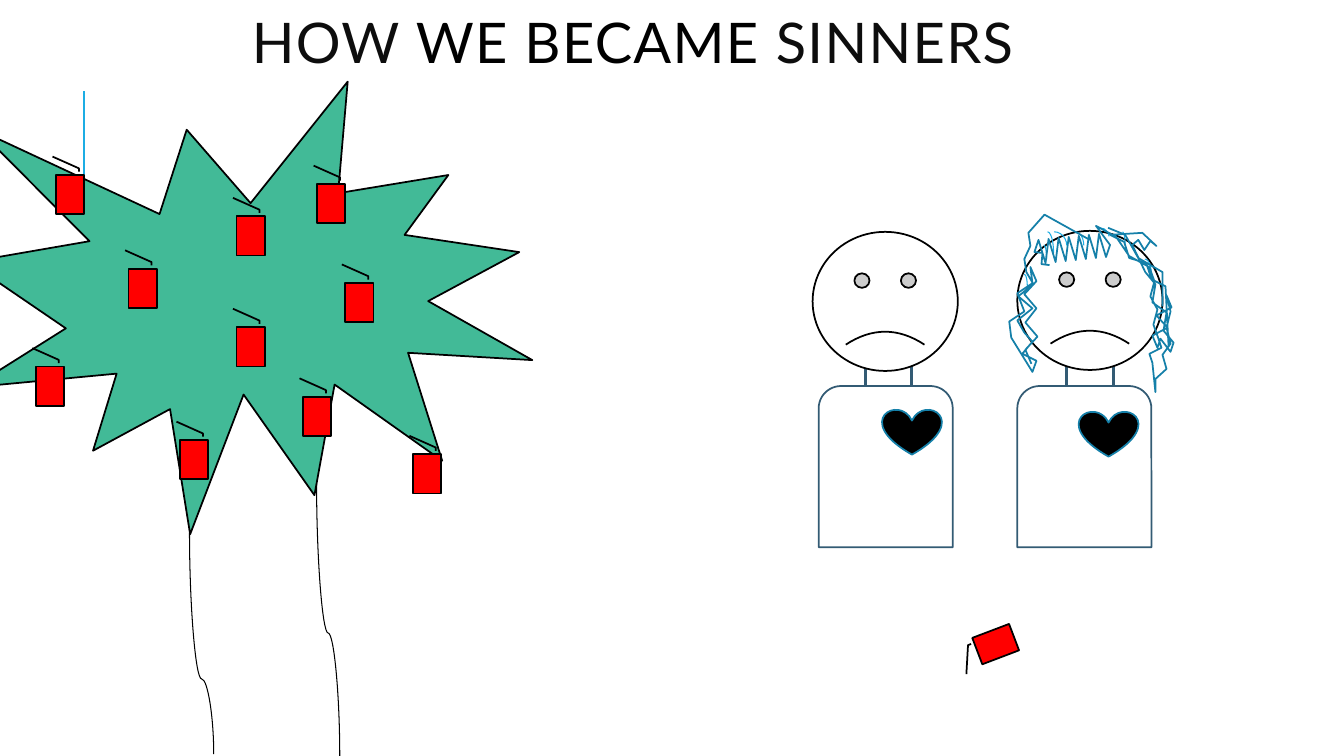
"""Build the slide "How we became sinners"."""
import math
from collections import namedtuple

from lxml import etree
from pptx import Presentation
from pptx import util as u
from pptx.dml.color import RGBColor
from pptx.enum import shapes, text
from pptx.oxml import ns

SCALE = 9144
COLORS = {
    "black": "000000", "title": "0D0D0D", "white": "FFFFFF", "slate": "335B74",
    "sky": "1CADE4", "hair": "1580A9", "leaf": "42BA97", "apple": "FF0000",
}
TITLE = [("HOW ", "title"), ("WE BECAME ", "black"), ("SINNERS", "title")]
TITLE_FONT = {"name": "Lato", "size": u.Pt(40)}
APPLE_SIZE = (39, 28)
APPLES = [
    (337, 286), (50, 179), (309, 188), (173, 442), (295, 399),
    (404, 456), (229, 330), (229, 220), (30, 369), (122, 272),
]
CURLS = [
    (1058, 230, 17, 27), (1081, 226, 19, 17), (1033, 230, 25, 27), (1111, 230, 5, 27),
    (1129, 257, 13, 29), (1033, 243, 5, 28), (1013, 272, 6, 24), (1033, 230, 12, 42),
]
NECK = {"top": 358, "bottom": 383, "width": 46}
BODY_SIZE, HEART_SIZE, HEAD_SIZE = (133, 160), (59, 45), (144, 138)

Stroke = namedtuple("Stroke", "x y turns sway", defaults=(0, 0))
HAIR = {
    "side lock": [
        Stroke(1099, 226), Stroke(1116, 233), Stroke(1129, 256),
        Stroke(1153, 270), Stroke(1153, 304),
    ],
    "left hair": [
        Stroke(1079, 237), Stroke(1036, 213), Stroke(1020, 231), Stroke(1018, 270, 2, 3),
        Stroke(1016, 330, 4, 7), Stroke(1024, 369, 3, 6), Stroke(1003, 335),
        Stroke(1022, 265, 4, 6), Stroke(1023, 361, 6, 6),
    ],
    "fringe and right hair": [
        Stroke(1041, 263), Stroke(1026, 250, 2, 5), Stroke(1101, 243, 14, 12),
        Stroke(1087, 224), Stroke(1140, 265, 2, 4), Stroke(1149, 336, 4, 3),
        Stroke(1143, 360, 2, 5), Stroke(1146, 389), Stroke(1161, 341, 3, 4),
        Stroke(1157, 293, 2, 3), Stroke(1148, 345, 4, 7), Stroke(1164, 340, 2, 8),
        Stroke(1136, 270, 4, 5), Stroke(1123, 243), Stroke(1147, 244, 3, 5),
        Stroke(1133, 231), Stroke(1101, 233), Stroke(1156, 284, 4, 4), Stroke(1159, 343),
    ],
}


def px(*lengths):
    """Turn pixel lengths into EMU."""
    return [round(length * SCALE) for length in lengths]


def rgb(name):
    """Look up a named colour."""
    return RGBColor.from_string(COLORS[name])


def set_line(item, color, width):
    """Colour an outline and give it a width in points."""
    item.line.color.rgb = rgb(color)
    item.line.width = u.Pt(width)


def finish(shape, fill, color, width):
    """Set the fill and outline of a shape and drop its shadow."""
    shape.shadow.inherit = False
    if fill:
        shape.fill.solid()
        shape.fill.fore_color.rgb = rgb(fill)
    else:
        shape.fill.background()
    set_line(shape, color, width)


def add_preset(page, kind, bounds, fill, color, width=1.25):
    """Add a preset shape."""
    shape = page.shapes.add_shape(kind, *px(*bounds))
    finish(shape, fill, color, width)
    return shape


def add_line(page, ends, color, width, kind=shapes.MSO_CONNECTOR.STRAIGHT):
    """Add a connector without a shadow."""
    line = page.shapes.add_connector(kind, *px(*ends))
    set_line(line, color, width)
    etree.SubElement(line._element.spPr, ns.qn("a:effectLst"))
    return line


def add_trunk_side(page, left, top, right, bottom, bend):
    """Add a curve that runs downwards and bends at a percentage of its length."""
    middle_x, middle_y = (left + right) / 2, (top + bottom) / 2
    reach, drift = (bottom - top) / 2, (right - left) / 2
    ends = (middle_x + reach, middle_y - drift, middle_x - reach, middle_y + drift)
    curve = add_line(page, ends, "black", 0.75, shapes.MSO_CONNECTOR.CURVE)
    properties = curve._element.spPr
    properties.find(ns.qn("a:xfrm")).set("rot", str(270 * 60000))
    guides = next(properties.iter(ns.qn("a:avLst")))
    etree.SubElement(guides, ns.qn("a:gd"), name="adj1", fmla=f"val {bend * 1000}")


def add_apple(page, left, top, rotation=90):
    """Add an apple with its stalk."""
    kind = shapes.MSO_SHAPE.LINE_CALLOUT_2
    apple = add_preset(page, kind, (left, top, *APPLE_SIZE), "apple", "black")
    apple.rotation = rotation


def add_tree(page):
    """Add the crown, both sides of the trunk and the hanging apples."""
    add_preset(page, shapes.MSO_SHAPE.EXPLOSION1, (-31, 81, 559, 449), "leaf", "black")
    add_trunk_side(page, 314, 479, 337, 750, bend=55)
    add_trunk_side(page, 188, 529, 212, 748, bend=66)
    for left, top in APPLES:
        add_apple(page, left, top)


def add_person(page, body_left, neck_left, heart, head):
    """Add a sad person with a black heart."""
    for neck_x in (neck_left, neck_left + NECK["width"]):
        add_line(page, (neck_x, NECK["top"], neck_x, NECK["bottom"]), "slate", 2.25)
    kinds = shapes.MSO_SHAPE
    body = (body_left, NECK["bottom"], *BODY_SIZE)
    add_preset(page, kinds.ROUND_2_SAME_RECTANGLE, body, "white", "slate")
    add_preset(page, kinds.HEART, (*heart, *HEART_SIZE), "black", "hair")
    face = add_preset(page, kinds.SMILEY_FACE, (*head, *HEAD_SIZE), "white", "black")
    face.adjustments[0] = -0.05


def zigzag(start, stroke):
    """List the points of a stroke that swings from side to side of its path."""
    run, rise = stroke.x - start.x, stroke.y - start.y
    length = math.hypot(run, rise)
    points = []
    for turn in range(1, stroke.turns + 1):
        share = turn / (stroke.turns + 1)
        swing = stroke.sway * (-1) ** turn / length
        points.append((start.x + run * share - rise * swing,
                       start.y + rise * share + run * swing))
    return points + [(stroke.x, stroke.y)]


def add_lock(page, strokes):
    """Add a lock of hair scribbled in one go."""
    builder = page.shapes.build_freeform(strokes[0].x, strokes[0].y, scale=SCALE)
    for start, stroke in zip(strokes, strokes[1:]):
        builder.add_line_segments(zigzag(start, stroke), close=False)
    finish(builder.convert_to_shape(), None, "hair", 1.25)


def add_hair(page):
    """Add the small curls and the scribbled locks."""
    for curl in CURLS:
        add_preset(page, shapes.MSO_SHAPE.ARC, curl, None, "sky", 0.75)
    for strokes in HAIR.values():
        add_lock(page, strokes)


def add_title(page):
    """Add the centred title."""
    box = page.shapes.add_textbox(*px(96, -8, 1063, 110))
    frame = box.text_frame
    frame.word_wrap = True
    frame.vertical_anchor = text.MSO_ANCHOR.MIDDLE
    para = frame.paragraphs[0]
    for name, value in {"alignment": text.PP_ALIGN.CENTER, "line_spacing": 0.8}.items():
        setattr(para, name, value)
    for words, color in TITLE:
        span = para.add_run()
        span.text = words
        for name, value in TITLE_FONT.items():
            setattr(span.font, name, value)
        span.font.color.rgb = rgb(color)
        span._r.get_or_add_rPr().set("spc", "100")


def main():
    """Build and save the deck."""
    deck = Presentation()
    deck.slide_width, deck.slide_height = u.Inches(13.33), u.Inches(7.5)
    page = deck.slides.add_slide(deck.slide_layouts[6])
    add_line(page, (83, 190, 83, 90), "sky", 1.5)
    add_title(page)
    add_person(page, 812, 858, heart=(875, 406), head=(806, 230))
    add_person(page, 1009, 1058, heart=(1070, 408), head=(1009, 229))
    add_hair(page)
    add_tree(page)
    add_apple(page, 968, 625, rotation=339.2)
    deck.save("out.pptx")


if __name__ == "__main__":
    main()
